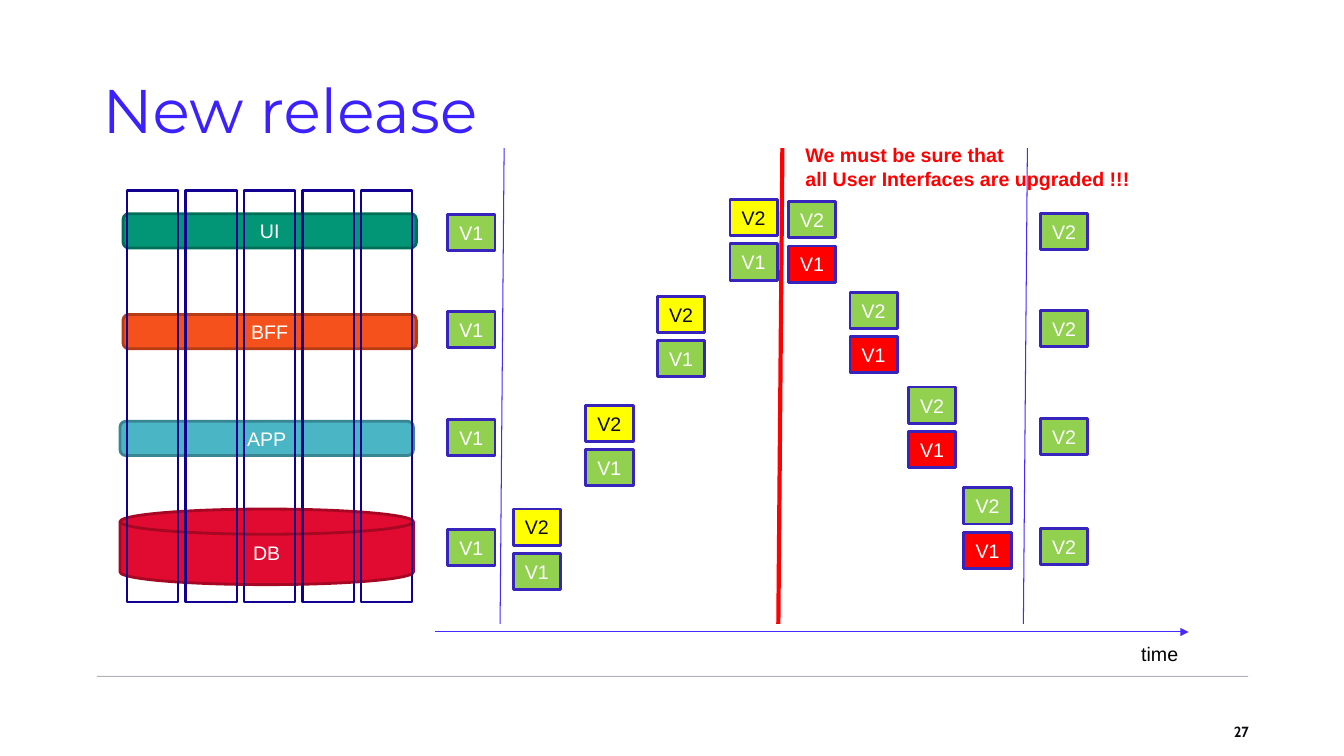
from dataclasses import dataclass

from lxml.etree import SubElement
from pptx import Presentation
from pptx.dml.color import RGBColor
from pptx.enum.shapes import MSO_CONNECTOR as Connector, MSO_SHAPE as Preset
from pptx.enum.text import MSO_ANCHOR as Anchor, PP_ALIGN as Align
from pptx.oxml.ns import qn
from pptx.util import Inches, Pt

COLUMNS, ROWS = 13.33, 7.5  # grid cells are one inch square


@dataclass(frozen=True)
class Theme:
    white: str = "FFFFFF"
    black: str = "000000"
    ink: str = "0C0A11"
    title: str = "3C21FF"
    rule: str = "40434F"
    axis: str = "452BFE"
    frame: str = "120090"
    chip_edge: str = "3724BD"
    stable: str = "92D050"
    new: str = "FFFF00"
    alert: str = "FF0000"
    ui: tuple = ("029676", "016F57")
    bff: tuple = ("F4511C", "B53C15")
    app: tuple = ("4AB5C4", "378691")
    db: tuple = ("E10B31", "A60824")
    body_font: str = "Arial"
    title_font: str = "Montserrat"
    number_font: str = "Cabin"
    title_size: float = 44
    body_size: float = 14
    number_size: float = 10.5


class Page:
    def __init__(self, deck, theme):
        self.theme = theme
        self.shapes = deck.slides.add_slide(deck.slide_layouts[6]).shapes

    def set_text(self, frame, text, color, size=None, font=None, bold=False,
                 align=Align.LEFT, spacing=None):
        frame.text = text
        for para in frame.paragraphs:
            para.alignment = align
            para.line_spacing = spacing
            para.font.size = Pt(size or self.theme.body_size)
            para.font.name = font or self.theme.body_font
            para.font.bold = bold
            para.font.color.rgb = RGBColor.from_string(color)

    def text(self, place, text, color, anchor=Anchor.TOP, wrap=False,
             inset=True, **style):
        box = self.shapes.add_textbox(*map(Inches, place))
        frame = box.text_frame
        frame.word_wrap = wrap
        frame.vertical_anchor = anchor
        if not inset:
            frame.margin_left = frame.margin_right = 0
            frame.margin_top = frame.margin_bottom = 0
        self.set_text(frame, text, color, **style)

    def shape(self, preset, place, edge, weight, fill=None, label="", color=None):
        shape = self.shapes.add_shape(preset, *map(Inches, place))
        shape.shadow.inherit = False
        shape.line.color.rgb = RGBColor.from_string(edge)
        shape.line.width = Pt(weight)
        if fill:
            shape.fill.solid()
            shape.fill.fore_color.rgb = RGBColor.from_string(fill)
        else:
            shape.fill.background()
        if label:
            shape.text_frame.vertical_anchor = Anchor.MIDDLE
            self.set_text(shape.text_frame, label, color or self.theme.white,
                          align=Align.CENTER)

    def line(self, start, end, color, weight=0.75, opacity=None, arrow=False):
        line = self.shapes.add_connector(
            Connector.STRAIGHT, *map(Inches, (*start, *end)))
        line.line.color.rgb = RGBColor.from_string(color)
        line.line.width = Pt(weight)
        properties = line._element.spPr
        SubElement(properties, qn("a:effectLst"))
        if opacity:
            tint = properties.find(".//" + qn("a:srgbClr"))
            SubElement(tint, qn("a:alpha"), val=str(opacity * 1000))
        if arrow:
            SubElement(properties.find(qn("a:ln")), qn("a:tailEnd"), type="triangle")

    def chip(self, left, top, version, fill, color=None):
        self.shape(Preset.RECTANGLE, (left, top, 0.47, 0.36),
                   self.theme.chip_edge, 2, fill, version, color)

    def chip_pair(self, left, top, upper, lower):
        """Stack a V2 chip on a V1 chip; each is given as its fill and text colour."""
        self.chip(left, top, "V2", *upper)
        self.chip(left, top + 0.44, "V1", *lower)


def main():
    deck = Presentation()
    deck.slide_width, deck.slide_height = Inches(COLUMNS), Inches(ROWS)
    theme = Theme()
    page = Page(deck, theme)

    page.line((0.96, 6.71), (12.38, 6.71), theme.rule, opacity=40)
    page.text((0.92, 0.4, 11.5, 1.45), "New release", theme.title, Anchor.MIDDLE,
              wrap=True, size=theme.title_size, font=theme.title_font, spacing=0.9)
    page.text((9.42, 6.95, 3, 0.4), "27 ", theme.ink, Anchor.BOTTOM, wrap=True,
              inset=False, size=theme.number_size, font=theme.number_font,
              bold=True, align=Align.RIGHT)

    bar, disk = Preset.ROUNDED_RECTANGLE, Preset.FLOWCHART_MAGNETIC_DISK
    for label, preset, left, top, height, (fill, edge) in (
            ("UI", bar, 1.22, 2.12, 0.34, theme.ui),
            ("BFF", bar, 1.22, 3.12, 0.34, theme.bff),
            ("APP", bar, 1.19, 4.18, 0.34, theme.app),
            ("DB", disk, 1.19, 5.05, 0.75, theme.db)):
        page.shape(preset, (left, top, 2.91, height), edge, 2, fill, label)

    for frame in range(5):
        page.shape(Preset.RECTANGLE, (1.26 + 0.58 * frame, 1.89, 0.51, 4.08),
                   theme.frame, 1.5)

    for layer_top in (2.12, 3.08, 4.15, 5.24):
        page.chip(4.44, layer_top + 0.01, "V1", theme.stable)
        page.chip(10.32, layer_top, "V2", theme.stable)

    stable, new, retired = (theme.stable,), (theme.new, theme.ink), (theme.alert,)
    for left, top in ((5.09, 5.05), (5.81, 4.02), (6.52, 2.94), (7.24, 1.98)):
        page.chip_pair(left, top, new, stable)
    for left, top in ((7.82, 2), (8.43, 2.9), (9.01, 3.84), (9.56, 4.84)):
        page.chip_pair(left, top, stable, retired)

    page.line((4.31, 6.27), (11.79, 6.27), theme.axis, arrow=True)
    page.text((11.22, 6.32, 0.57, 0.34), "time", theme.black)
    for foot, color, weight in ((4.96, theme.axis, 0.75), (7.72, theme.alert, 3),
                                (10.15, theme.axis, 0.75)):
        page.line((foot, 6.19), (foot + 0.04, 1.47), color, weight)
    page.text((7.89, 1.37, 3.43, 0.57),
              "We must be sure that\nall User Interfaces are upgraded !!!",
              theme.alert, bold=True)

    deck.save("out.pptx")


if __name__ == "__main__":
    main()
